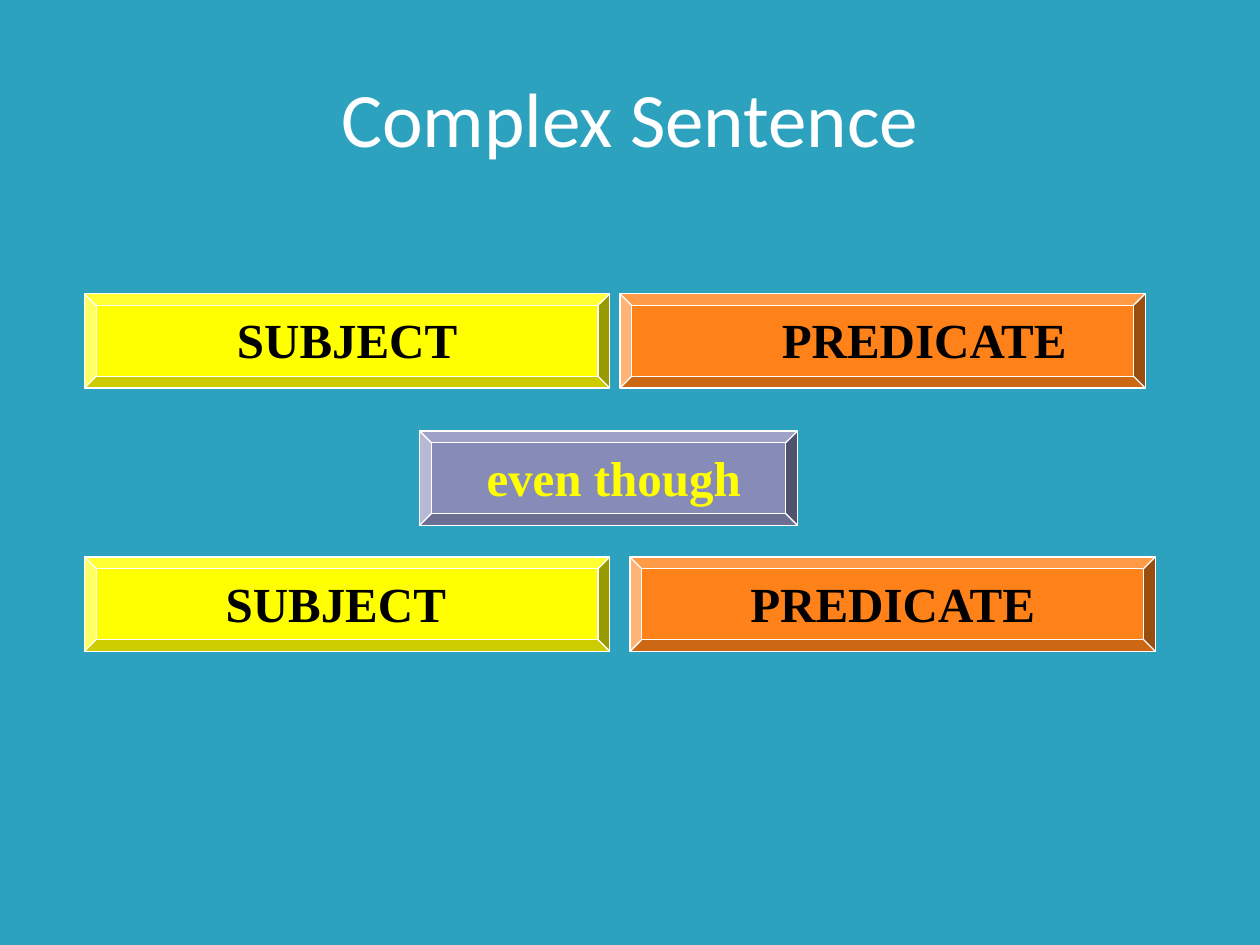
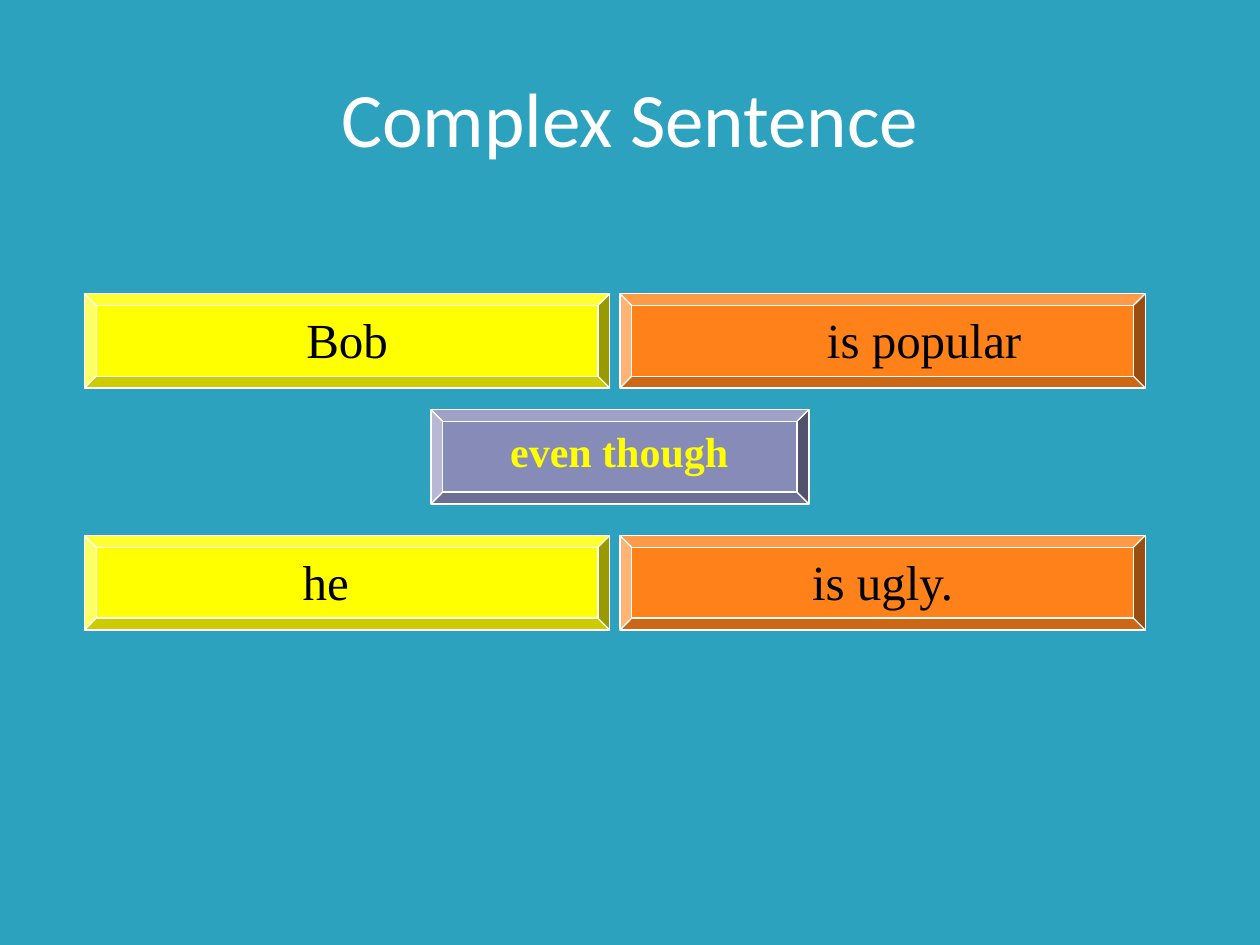
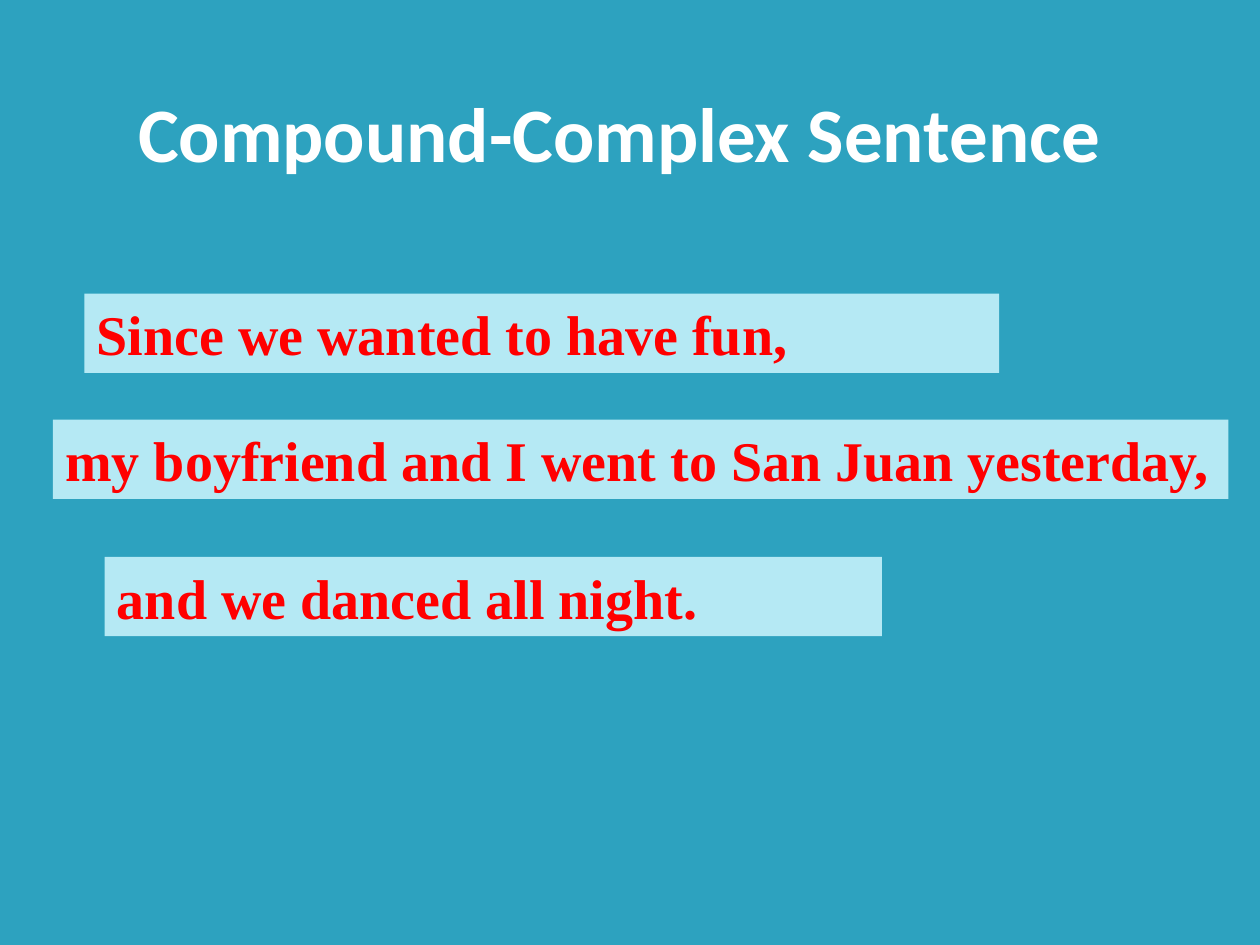
from dataclasses import dataclass

from pptx import Presentation
from pptx import util as u
from pptx.dml import color
from pptx.enum import shapes, text

COLORS = {
    "background": "2DA2BF",
    "white": "FFFFFF",
    "black": "000000",
    "subject": "FFFF00",
    "predicate": "FF8119",
    "conjunction": "878BB8",
    "clause_fill": "B5E9F4",
    "clause_text": "FF0000",
}
BODY_FONT = "Times New Roman"
BLOCK_HEIGHT = 0.75
PART_WIDTH = 4.17
LABEL_WIDTH = 3.67
SUBJECT_LEFT = 0.67
PREDICATE_LEFT = 4.92
LABEL_DROP = 0.08


@dataclass(frozen=True)
class Block:
    role: str
    words: str
    left: float
    top: float
    label_left: float
    width: float = PART_WIDTH
    label_width: float = LABEL_WIDTH
    size: int = 28
    bold: bool = True
    ink: str = "black"


@dataclass(frozen=True)
class Clause:
    words: str
    left: float
    top: float
    width: float


@dataclass(frozen=True)
class Title:
    words: str
    left: float = 0.5
    top: float = 0.3
    width: float = 9
    bold: bool = False


def rgb(name: str) -> color.RGBColor:
    return color.RGBColor.from_string(COLORS[name])


def apply(target, values: dict) -> None:
    for name, value in values.items():
        setattr(target, name, value)


def place(left: float, top: float, width: float, height: float) -> list:
    return [u.Inches(value) for value in (left, top, width, height)]


def write(box, words: str, ink: str, align, **font) -> None:
    para = box.text_frame.paragraphs[0]
    para.alignment = align
    span = para.add_run()
    span.text = words
    apply(span.font, font)
    span.font.color.rgb = rgb(ink)


def fit(box) -> None:
    apply(box.text_frame, {
        "word_wrap": True,
        "auto_size": text.MSO_AUTO_SIZE.SHAPE_TO_FIT_TEXT,
        "vertical_anchor": text.MSO_ANCHOR.TOP,
    })


def add_filled(page, kind, area: list, fill: str):
    box = page.shapes.add_shape(kind, *area)
    box.shadow.inherit = False
    box.fill.solid()
    box.fill.fore_color.rgb = rgb(fill)
    return box


def add_page(deck, title: Title):
    page = deck.slides.add_slide(deck.slide_layouts.get_by_name("Title Only"))
    box = page.shapes.title
    area = place(title.left, title.top, title.width, 1.25)
    apply(box, dict(zip(("left", "top", "width", "height"), area)))
    box.text_frame.vertical_anchor = text.MSO_ANCHOR.MIDDLE
    write(box, title.words, "white", text.PP_ALIGN.CENTER,
          name="Calibri", size=u.Pt(44), bold=title.bold)
    return page


def add_block(page, block: Block) -> None:
    area = place(block.left, block.top, block.width, BLOCK_HEIGHT)
    bevel = add_filled(page, shapes.MSO_SHAPE.BEVEL, area, block.role)
    bevel.adjustments[0] = 0.125
    bevel.line.color.rgb = rgb("white")
    bevel.line.width = u.Pt(0.75)
    label_height = 0.1 + block.size / 60
    label = page.shapes.add_textbox(*place(
        block.label_left, block.top + LABEL_DROP, block.label_width, label_height))
    fit(label)
    write(label, block.words, block.ink, text.PP_ALIGN.CENTER,
          name=BODY_FONT, size=u.Pt(block.size), bold=block.bold)


def add_clause(page, clause: Clause) -> None:
    area = place(clause.left, clause.top, clause.width, 0.63)
    box = add_filled(page, shapes.MSO_SHAPE.RECTANGLE, area, "clause_fill")
    box.line.fill.background()
    fit(box)
    write(box, clause.words, "clause_text", text.PP_ALIGN.LEFT,
          name=BODY_FONT, size=u.Pt(32), bold=True)


PATTERN = [
    Block("conjunction", "even though", 3.33, 3.42, 3.58, 3, 2.58, ink="subject"),
    Block("subject", "SUBJECT", SUBJECT_LEFT, 2.33, 0.92),
    Block("predicate", "PREDICATE", PREDICATE_LEFT, 2.33, 5.5),
    Block("subject", "SUBJECT", SUBJECT_LEFT, 4.42, 0.83),
    Block("predicate", "PREDICATE", 5, 4.42, 5.25),
]
EXAMPLE = [
    Block("conjunction", "even though", 3.42, 3.25, 3.5, 3, 2.83, 24, ink="subject"),
    Block("subject", "Bob", SUBJECT_LEFT, 2.33, 0.92, bold=False),
    Block("predicate", "is popular", PREDICATE_LEFT, 2.33, 5.5, bold=False),
    Block("subject", "he", SUBJECT_LEFT, 4.25, 0.75, bold=False),
    Block("predicate", "is ugly.", PREDICATE_LEFT, 4.25, 5.17, bold=False),
]
CLAUSES = [
    Clause("Since we wanted to have fun,", 0.67, 2.33, 7.26),
    Clause("my boyfriend and I went to San Juan yesterday,", 0.42, 3.33, 9.33),
    Clause("and we danced all night.", 0.83, 4.42, 6.17),
]


def main() -> None:
    deck = Presentation()
    apply(deck, {"slide_width": u.Inches(10), "slide_height": u.Inches(7.5)})
    backdrop = deck.slide_master.background.fill
    backdrop.solid()
    backdrop.fore_color.rgb = rgb("background")

    for blocks in (PATTERN, EXAMPLE):
        page = add_page(deck, Title("Complex Sentence"))
        for block in blocks:
            add_block(page, block)

    page = add_page(deck, Title("Compound-Complex Sentence", 0.67, 0.42, 8.5, True))
    for clause in CLAUSES:
        add_clause(page, clause)

    deck.save("out.pptx")


if __name__ == "__main__":
    main()
